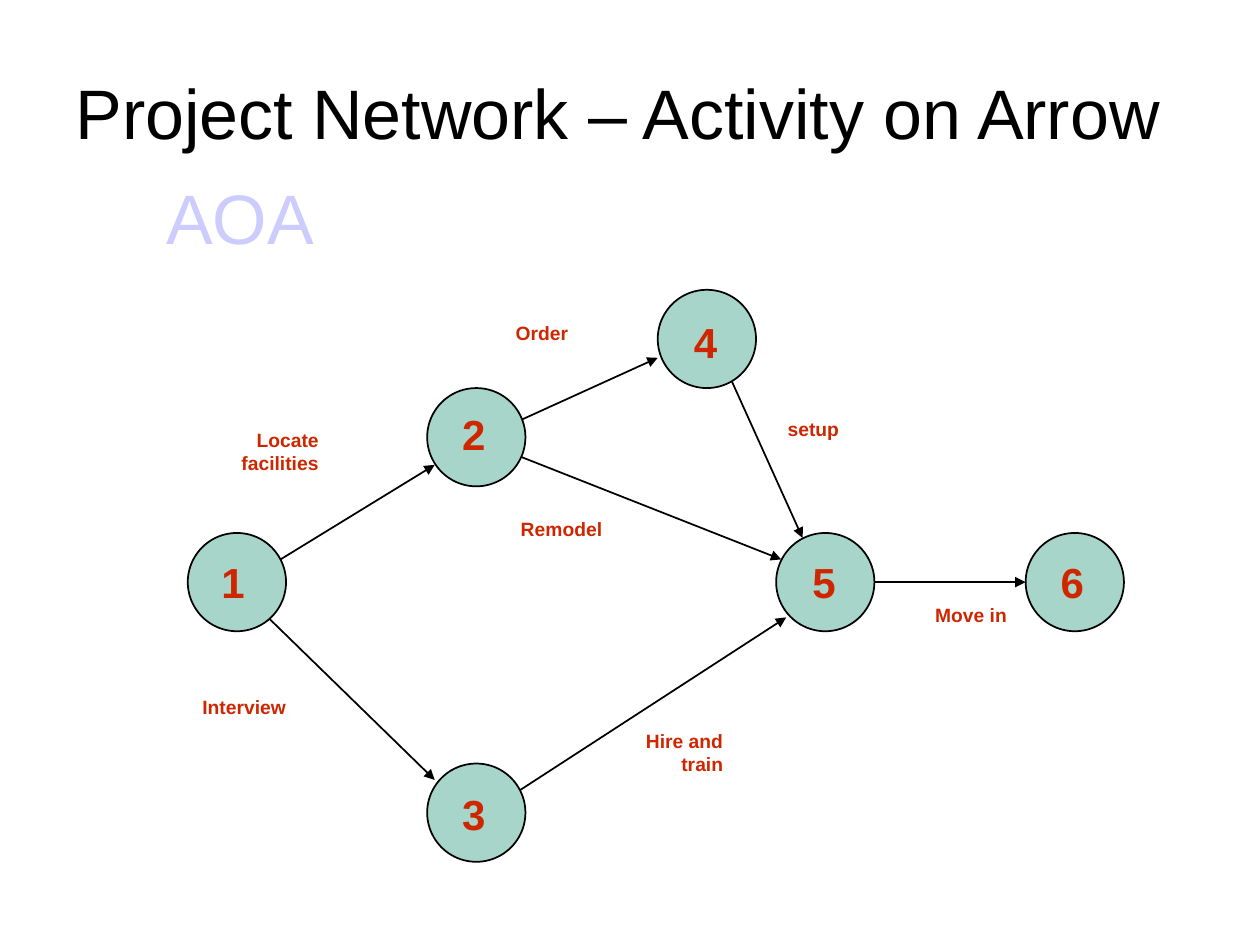
from lxml import etree
from pptx import Presentation
from pptx.dml.color import RGBColor
from pptx.enum.shapes import MSO_CONNECTOR, MSO_SHAPE
from pptx.enum.text import MSO_ANCHOR, PP_ALIGN
from pptx.oxml.ns import qn
from pptx.util import Inches, Pt

STRAIGHT, OVAL = MSO_CONNECTOR.STRAIGHT, MSO_SHAPE.OVAL
LEFT, RIGHT = PP_ALIGN.LEFT, PP_ALIGN.RIGHT
TOP, BOTTOM = MSO_ANCHOR.TOP, MSO_ANCHOR.BOTTOM

THEME = {
    "font": "Arial",
    "black": RGBColor.from_string("000000"),
    "label": RGBColor.from_string("CE2700"),
    "subtitle": RGBColor.from_string("CCCCFF"),
    "node": RGBColor.from_string("A7D5C9"),
    "title_size": 40,
    "number_size": 24,
    "label_size": 11,
    "line_width": 1,
}

TITLE = ("Project Network – Activity on Arrow", (0.5, 0.33, 9.25, 0.94))
SUBTITLE = ("AOA", (0.67, 1.33, 1.92, 0.77))

NODE_SIZE = 0.78
NUMBER_SIZE = (0.38, 0.5)
# number, circle corner, offset of the number from that corner
NODES = [
    ("1", (1.49, 4.23), (0.17, 0.14)),
    ("2", (3.39, 3.08), (0.18, 0.11)),
    ("3", (3.39, 6.06), (0.18, 0.15)),
    ("4", (5.22, 2.30), (0.19, 0.16)),
    ("5", (6.16, 4.23), (0.19, 0.14)),
    ("6", (8.14, 4.23), (0.18, 0.14)),
]

# start and end of each activity arrow; the circles cover the starts
ARROWS = [
    ((5.67, 2.72), (6.37, 4.27)),
    ((3.79, 3.49), (6.20, 4.44)),
    ((6.54, 4.62), (8.14, 4.62)),
    ((3.79, 6.49), (6.24, 4.90)),
    ((1.86, 4.64), (3.45, 6.19)),
    ((3.79, 3.49), (5.22, 2.84)),
    ((1.90, 4.64), (3.45, 3.69)),
]

# activity, box, right margin
ACTIVITIES = [
    ("Locate\vfacilities", (1.82, 3.35, 1.20, 0.70), 0.49),
    ("Order", (4.00, 2.50, 0.88, 0.40), 0.37),
    ("setup", (6.16, 3.26, 0.86, 0.40), 0.36),
    ("Interview", (1.51, 5.47, 1.28, 0.40), 0.52),
    ("Hire and\vtrain", (5.03, 5.74, 1.20, 0.70), 0.49),
    ("Remodel", (4.03, 4.06, 1.25, 0.40), 0.50),
    ("Move in", (7.00, 4.74, 1.09, 0.40), 0.10),
]


def add_text(page, text, frame, *, size, color, bold=False, align=RIGHT,
             anchor=TOP, wrap=True, margins=(0.1, 0.1), spacing=None):
    box = page.shapes.add_textbox(*map(Inches, frame))
    body = box.text_frame
    body.word_wrap = wrap
    body.vertical_anchor = anchor
    body.margin_left, body.margin_right = map(Inches, margins)
    para = body.paragraphs[0]
    para.text = text
    para.alignment = align
    if spacing:
        para.line_spacing = spacing
    for span in para.runs:
        span.font.name = THEME["font"]
        span.font.size = Pt(size)
        span.font.bold = bold
        span.font.color.rgb = color


def set_outline(line):
    line.color.rgb = THEME["black"]
    line.width = Pt(THEME["line_width"])


def add_arrow(page, start, end):
    arrow = page.shapes.add_connector(STRAIGHT, *map(Inches, start + end))
    set_outline(arrow.line)
    outline = arrow.line._get_or_add_ln()
    etree.SubElement(outline, qn("a:tailEnd"), type="triangle")
    etree.SubElement(arrow._element.spPr, qn("a:effectLst"))


def add_circle(page, corner):
    circle = page.shapes.add_shape(
        OVAL, *map(Inches, corner + (NODE_SIZE, NODE_SIZE)))
    circle.shadow.inherit = False
    circle.fill.solid()
    circle.fill.fore_color.rgb = THEME["node"]
    set_outline(circle.line)


def main():
    deck = Presentation()
    deck.slide_width, deck.slide_height = Inches(10), Inches(7.5)
    page = deck.slides.add_slide(deck.slide_layouts[6])

    add_text(page, *TITLE, size=THEME["title_size"], color=THEME["black"],
             align=LEFT, anchor=BOTTOM, spacing=1.25)
    for start, end in ARROWS:
        add_arrow(page, start, end)
    for _, corner, _ in NODES:
        add_circle(page, corner)
    for number, (left, top), (right_by, down_by) in NODES:
        add_text(page, number, (left + right_by, top + down_by, *NUMBER_SIZE),
                 size=THEME["number_size"], color=THEME["label"], bold=True,
                 wrap=False)
    for activity, frame, right_margin in ACTIVITIES:
        add_text(page, activity, frame, size=THEME["label_size"],
                 color=THEME["label"], bold=True, margins=(0, right_margin))
    add_text(page, *SUBTITLE, size=THEME["title_size"],
             color=THEME["subtitle"], anchor=BOTTOM)

    deck.save("out.pptx")


if __name__ == "__main__":
    main()
